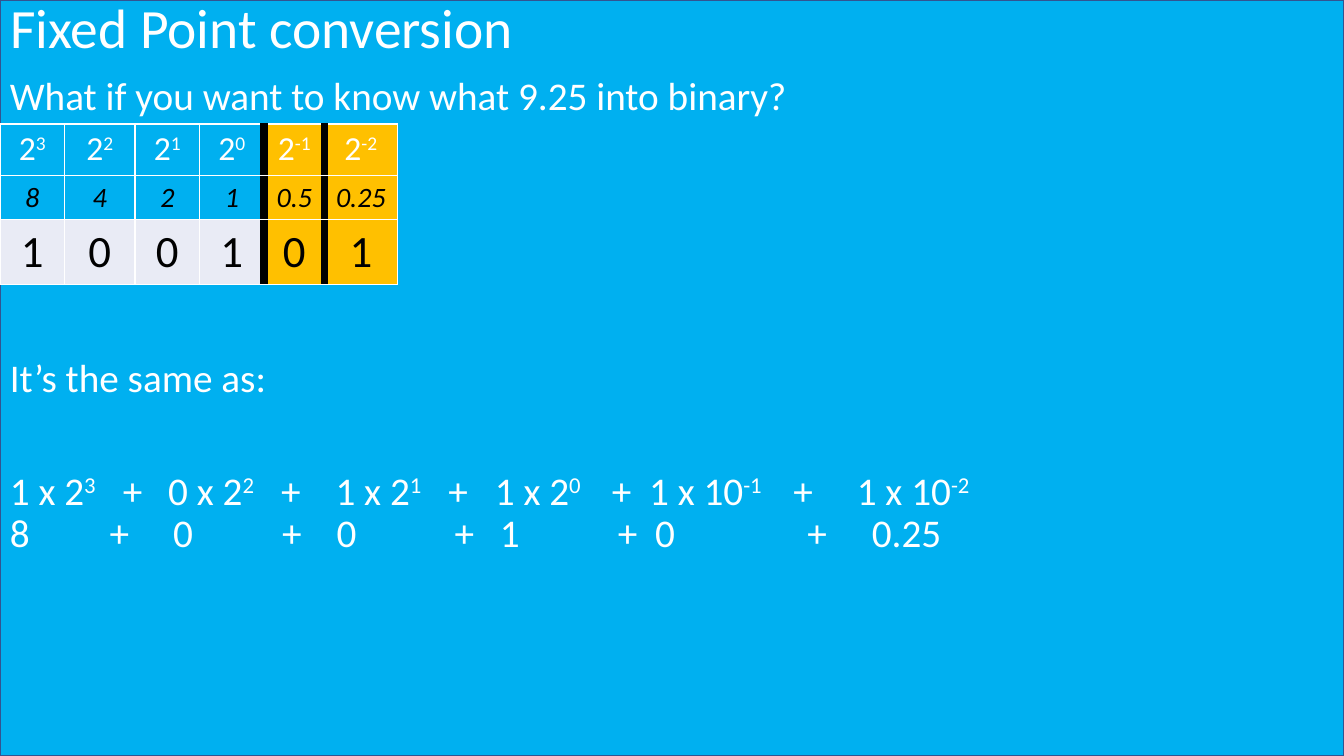
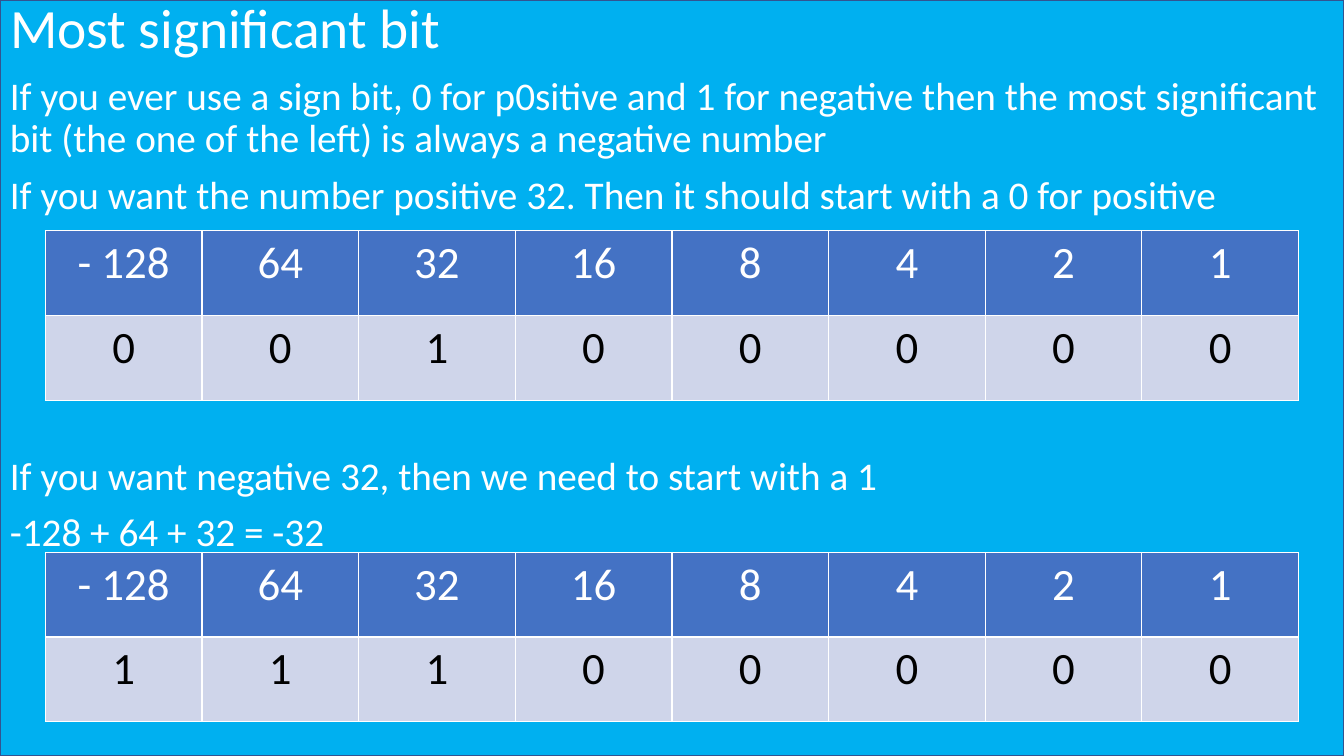
import pptx
import pptx.util
import pptx.dml.color
import pptx.enum.shapes
import pptx.enum.text
import pptx.oxml.ns
from lxml import etree

Inches, Pt = pptx.util.Inches, pptx.util.Pt
qn = pptx.oxml.ns.qn

# Shared look
WIDTH, HEIGHT = 13.33, 7.5
FONT = "Calibri"
COLOURS = {"sky": "00B0F0", "edge": "325491", "white": "FFFFFF", "black": "000000",
           "gold": "FFC000", "pale": "E9EBF5", "blue": "4472C4", "lilac": "CFD5EA"}
BODY_TOP, LINE_STEP = 0.71, 0.56

# Content: "^" starts a superscript
FIXED_POINT = {
    "title": "Fixed Point conversion",
    "question": "What if you want to know what 9.25 into binary?",
    "lead": "It’s the same as:",
    "places": [["2^3", "2^2", "2^1", "2^0", "2^-1", "2^-2"],
               ["8", "4", "2", "1", "0.5", "0.25"],
               ["1", "0", "0", "1", "0", "1"]],
    # each line of the sum: its terms, and the tab stops of signs and terms
    "sum": [(["1 x 2^3", "0 x 2^2", "1 x 2^1", "1 x 2^0", "1 x 10^-1", "1 x 10^-2"],
             [1.12, 1.57, 2.69, 3.23, 4.35, 4.81, 5.97, 6.34, 7.77, 8.4]),
            (["8", "0", "0", "1", "0", "0.25"],
             [0.99, 1.62, 2.7, 3.24, 4.41, 4.86, 6.03, 6.4, 7.91, 8.55])],
}
SIGN_BIT = {
    "title": "Most significant bit",
    "positive": ["If you ever use a sign bit, 0 for p0sitive and 1 for negative then the most "
                 "significant bit (the one of the left) is always a negative number",
                 "If you want the number positive 32. Then it should start with a 0 for positive"],
    "negative": ["If you want negative 32, then we need to start with a 1",
                 "-128 + 64 + 32 = -32"],
    "weights": ["- 128", "64", "32", "16", "8", "4", "2", "1"],
    "bytes": [(2.29, "00100000"), (5.48, "11100000")],
}
PLACE_COLUMNS = [0.64, 0.7, 0.64, 0.64, 0.6, 0.72]
PLACE_ROWS = [0.51, 0.44, 0.64]
FRACTION_START = 4


def rgb(name):
    return pptx.dml.color.RGBColor.from_string(COLOURS[name])


def add_spans(para, text, size, colour="white", italic=False):
    for index, part in enumerate(text.split("^")):
        span = para.add_run()
        span.text = part
        font = span.font
        font.name, font.size = FONT, Pt(size)
        font.bold, font.italic = False, italic
        font.color.rgb = rgb(colour)
        if index:
            span._r.get_or_add_rPr().set("baseline", "30000")


def add_body(page, top, lines):
    """Add one text box; return its paragraphs."""
    box = page.shapes.add_textbox(0, Inches(top), Inches(WIDTH), Inches(len(lines) * LINE_STEP))
    box.text_frame.word_wrap = True
    paras = []
    for index, line in enumerate(lines):
        para = box.text_frame.add_paragraph() if index else box.text_frame.paragraphs[0]
        para.line_spacing = 0.9
        if index:
            para.space_before = Pt(10)
        add_spans(para, line, 28)
        paras.append(para)
    return paras


def add_sum(page, top, rows):
    box = page.shapes.add_textbox(0, Inches(top), Inches(WIDTH), Inches(2 * LINE_STEP))
    box.text_frame.word_wrap = True
    for index, (terms, stops) in enumerate(rows):
        para = box.text_frame.add_paragraph() if index else box.text_frame.paragraphs[0]
        para.line_spacing = 0.9
        tabs = etree.SubElement(para._p.get_or_add_pPr(), qn("a:tabLst"))
        for stop in stops:
            etree.SubElement(tabs, qn("a:tab"), pos=str(Inches(stop)), algn="l")
        for number, term in enumerate(terms):
            add_spans(para, "\t+\t" + term if number else term, 28)


def set_border(cell, side, colour, width):
    line = etree.SubElement(cell._tc.get_or_add_tcPr(), qn("a:ln" + side), w=str(Pt(width)))
    fill = etree.SubElement(line, qn("a:solidFill"))
    etree.SubElement(fill, qn("a:srgbClr"), val=COLOURS[colour])


def add_grid(page, left, top, columns, rows, texts, style, thick_edges=()):
    """style(row, column) gives fill, text size, text colour and italic."""
    frame = page.shapes.add_table(len(rows), len(columns), Inches(left), Inches(top),
                                  Inches(sum(columns)), Inches(sum(rows)))
    table = frame.table
    table.first_row = table.horz_banding = False
    for index, width in enumerate(columns):
        table.columns[index].width = Inches(width)
    for r, height in enumerate(rows):
        table.rows[r].height = Inches(height)
        for c, text in enumerate(texts[r]):
            cell = table.cell(r, c)
            cell.margin_left = cell.margin_right = Inches(0.05)
            fill, size, colour, italic = style(r, c)
            for side, edge in (("L", c), ("R", c + 1), ("T", None), ("B", None)):
                thick = edge in thick_edges
                set_border(cell, side, "black" if thick else "white", 6 if thick else 1)
            cell.fill.solid()
            cell.fill.fore_color.rgb = rgb(fill)
            para = cell.text_frame.paragraphs[0]
            para.alignment = pptx.enum.text.PP_ALIGN.CENTER
            add_spans(para, text, size, colour, italic)


def place_style(row, column):
    fill = "gold" if column >= FRACTION_START else ("sky", "sky", "pale")[row]
    return fill, (24, 20, 32)[row], ("white", "black", "black")[row], row == 1


def byte_style(row, column):
    return ("blue", "lilac")[row], 32, ("white", "black")[row], False


def add_page(deck, layout, title):
    page = deck.slides.add_slide(layout)
    box = page.shapes.title
    box.left, box.top, box.width, box.height = 0, 0, Inches(WIDTH), Inches(0.61)
    frame = box.text_frame
    frame.word_wrap = True
    frame.auto_size = pptx.enum.text.MSO_AUTO_SIZE.NONE
    frame.vertical_anchor = pptx.enum.text.MSO_ANCHOR.MIDDLE
    para = frame.paragraphs[0]
    para.alignment = pptx.enum.text.PP_ALIGN.LEFT
    para.line_spacing = 0.9
    add_spans(para, title, 39.6)
    return page


def add_backdrop(page, layout):
    """Put the shared blue panel behind everything on the layout."""
    for holder in list(layout.placeholders):
        if holder.placeholder_format.idx:
            layout.shapes.element.remove(holder.element)
    panel = page.shapes.add_shape(pptx.enum.shapes.MSO_SHAPE.RECTANGLE, 0, 0,
                                  Inches(WIDTH), Inches(HEIGHT))
    panel.shadow.inherit = False
    panel.fill.solid()
    panel.fill.fore_color.rgb = rgb("sky")
    panel.line.color.rgb = rgb("edge")
    panel.line.width = Pt(1)
    layout.shapes.element.insert(2, panel.element)


def main():
    deck = pptx.Presentation()
    deck.slide_width, deck.slide_height = Inches(WIDTH), Inches(HEIGHT)
    layout = deck.slide_layouts[5]

    # Fixed point conversion
    page = add_page(deck, layout, FIXED_POINT["title"])
    add_backdrop(page, layout)
    add_body(page, BODY_TOP, [FIXED_POINT["question"]])
    add_body(page, BODY_TOP + 5 * LINE_STEP, [FIXED_POINT["lead"]])
    add_sum(page, BODY_TOP + 7 * LINE_STEP, FIXED_POINT["sum"])
    add_grid(page, 0, 1.23, PLACE_COLUMNS, PLACE_ROWS, FIXED_POINT["places"], place_style,
             thick_edges=(FRACTION_START, FRACTION_START + 1))

    # Most significant bit
    page = add_page(deck, layout, SIGN_BIT["title"])
    add_body(page, BODY_TOP, SIGN_BIT["positive"])
    add_body(page, 4.48, SIGN_BIT["negative"])
    weights = SIGN_BIT["weights"]
    for top, bits in SIGN_BIT["bytes"]:
        add_grid(page, 0.45, top, [12.43 / len(weights)] * len(weights), [0.84] * 2,
                 [weights, bits], byte_style)

    deck.save("out.pptx")


if __name__ == "__main__":
    main()
